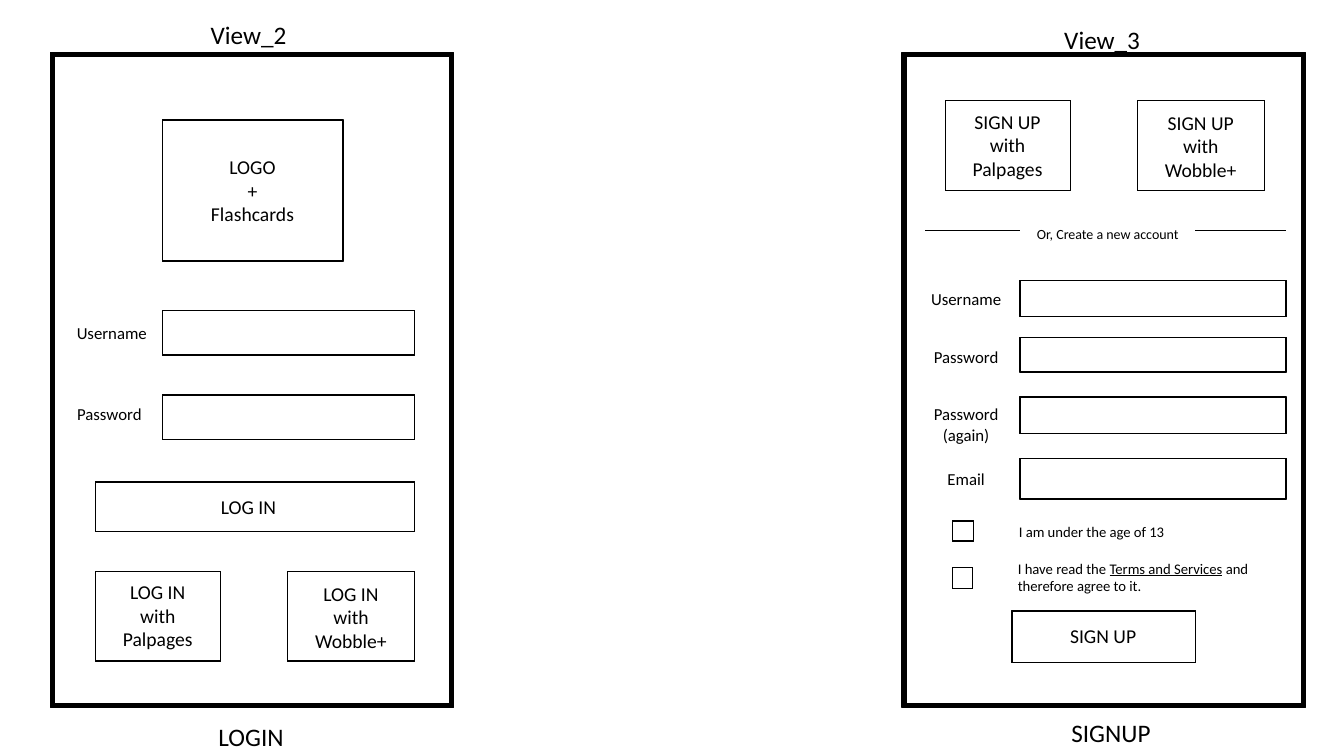
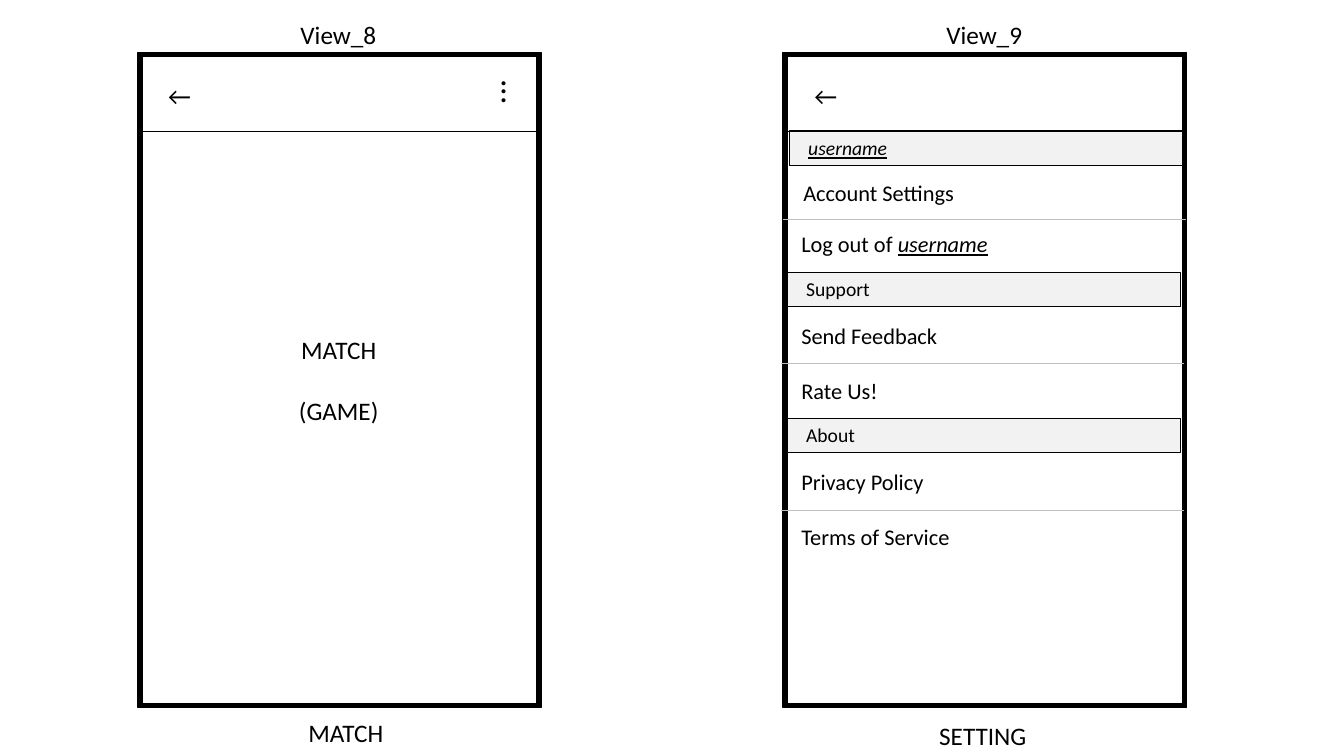
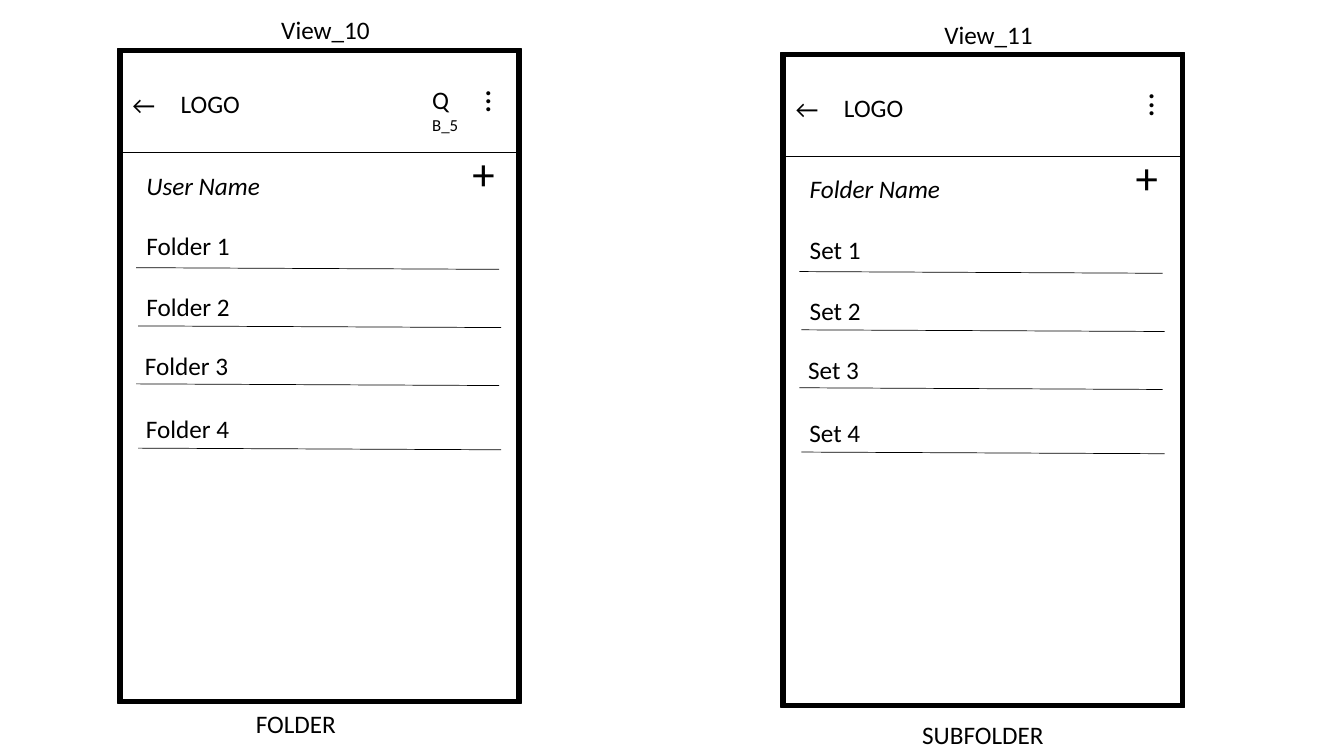
import pptx
import pptx.dml.color
import pptx.enum.shapes
import pptx.enum.text
import pptx.oxml
import pptx.util

Pt = pptx.util.Pt
RGBColor = pptx.dml.color.RGBColor
SHAPES = pptx.enum.shapes.MSO_SHAPE
ALIGN = pptx.enum.text.PP_ALIGN
ANCHOR = pptx.enum.text.MSO_ANCHOR
AUTO_SIZE = pptx.enum.text.MSO_AUTO_SIZE

BLACK = RGBColor(0, 0, 0)
BAND_GREY = RGBColor(0xF2, 0xF2, 0xF2)
RULE_GREY = RGBColor(0xBF, 0xBF, 0xBF)
FONT = "Calibri"
SCREEN_WIDTH, SCREEN_HEIGHT = 288, 468
LINE_HEIGHT = 28.8
EMPTY_EFFECTS = ('<a:effectLst xmlns:a='
                 '"http://schemas.openxmlformats.org/drawingml/2006/main"/>')


class Wireframe:
    """Holds the presentation, the shared style and the current slide."""

    def __init__(self):
        self.presentation = pptx.Presentation()
        self.presentation.slide_width = Pt(960)
        self.presentation.slide_height = Pt(540)
        self.slide = None

    def new_slide(self):
        """Start a slide that has only a title placeholder."""
        layout = self.presentation.slide_layouts[5]
        self.slide = self.presentation.slides.add_slide(layout)

    def style_run(self, run, size, italic=False, underline=False):
        """Give a run the shared font and colour."""
        run.font.name = FONT
        run.font.size = Pt(size)
        run.font.color.rgb = BLACK
        run.font.italic = italic
        run.font.underline = underline

    def fill_text(self, shape, text, size, centred=False, wrap=True,
                  italic=False, underline=False):
        """Write text into a shape and format its runs."""
        frame = shape.text_frame
        frame.text = text
        frame.word_wrap = wrap
        frame.auto_size = AUTO_SIZE.SHAPE_TO_FIT_TEXT
        frame.vertical_anchor = ANCHOR.TOP
        for paragraph in frame.paragraphs:
            paragraph.alignment = ALIGN.CENTER if centred else ALIGN.LEFT
            for run in paragraph.runs:
                self.style_run(run, size, italic, underline)
        return frame

    def text(self, left, top, width, height, text, size, **style):
        """Add a text box and return its text frame."""
        shape = self.slide.shapes.add_textbox(
            Pt(left), Pt(top), Pt(width), Pt(height))
        return self.fill_text(shape, text, size, **style)

    def label(self, left, top, width, text, italic=False):
        """Add a one-line label in the large size."""
        self.text(left, top, width, LINE_HEIGHT, text, 18, wrap=False,
                  italic=italic)

    def append(self, frame, text, size, **style):
        """Add a differently styled run to the first paragraph."""
        run = frame.paragraphs[0].add_run()
        run.text = text
        self.style_run(run, size, **style)

    def title(self, left, top, width, text):
        """Move the title placeholder over a screen and fill it."""
        shape = self.slide.shapes.title
        shape.left, shape.top = Pt(left), Pt(top)
        shape.width, shape.height = Pt(width), Pt(LINE_HEIGHT)
        self.fill_text(shape, text, 18, wrap=False)

    def box(self, left, top, width, height, thickness=0):
        """Add a black outline as a frame shape."""
        shape = self.slide.shapes.add_shape(
            SHAPES.FRAME, Pt(left), Pt(top), Pt(width), Pt(height))
        shape.adjustments[0] = thickness
        self.paint(shape, BLACK, 1)

    def paint(self, shape, fill, line_width):
        """Set fill and black line, and drop the shadow."""
        shape.shadow.inherit = False
        shape.fill.solid()
        shape.fill.fore_color.rgb = fill
        shape.line.color.rgb = BLACK
        shape.line.width = Pt(line_width)

    def screen(self, left, top):
        """Add the thick outline of a phone screen."""
        self.box(left, top, SCREEN_WIDTH, SCREEN_HEIGHT, 0.01)

    def rule(self, left, top, width, drop=0, colour=BLACK):
        """Add a thin line that may fall slightly to the right."""
        connector = self.slide.shapes.add_connector(
            pptx.enum.shapes.MSO_CONNECTOR.STRAIGHT,
            Pt(left), Pt(top), Pt(left + width), Pt(top + drop))
        connector.line.color.rgb = colour
        connector.line.width = Pt(0.5)
        properties = connector._element.spPr
        properties.append(pptx.oxml.parse_xml(EMPTY_EFFECTS))

    def back_arrow(self, left, top):
        """Add the arrow that leads back."""
        self.text(left, top, 36.7, LINE_HEIGHT, "\u2190", 18)

    def menu_dots(self, left, top):
        """Add three dots, turned upright."""
        frame = self.text(left, top, 38.9, 36, "...", 24)
        self.slide.shapes[-1].rotation = 90
        return frame

    def band(self, left, top, text, **style):
        """Add a grey section band of the settings menu."""
        shape = self.slide.shapes.add_shape(
            SHAPES.RECTANGLE, Pt(left), Pt(top), Pt(281), Pt(24.5))
        self.paint(shape, BAND_GREY, 0.75)
        self.fill_text(shape, text, 14, **style).margin_left = Pt(13.5)

    def menu_item(self, left, top, text):
        """Add an indented row of the settings menu."""
        frame = self.text(left, top, SCREEN_WIDTH, 32.4, text, 16)
        frame.margin_left = Pt(14.4)
        frame.margin_top = Pt(9.7)
        return frame

    def social_buttons(self, left, top, action):
        """Add the two buttons for outside accounts."""
        self.box(left, top, 89.3, 64.1)
        self.box(left + 137, top, 90.7, 64.1)
        self.text(left + 6.5, top + 2.6, 75.6, 58.3, action + "Palpages",
                  14, centred=True)
        self.text(left + 144.5, top + 3.6, 75.6, 58.3, action + "Wobble+",
                  14, centred=True)

    def folder_screen(self, left, top, owner, owner_width, item, item_width):
        """Add a screen that lists four numbered items."""
        self.screen(left, top)
        self.rule(left, top + 74.5, SCREEN_WIDTH)
        self.back_arrow(left + 3.2, top + 26)
        self.label(left + 37.8, top + 24.8, 57.6, "LOGO")
        self.menu_dots(left + 253.4, top + 23.4)
        self.text(left + 246.2, top + 66.2, 43.2, 46.1, "+", 32)
        self.label(left + 13.3, top + 83.2, owner_width, owner, italic=True)
        rows = [(13.3, 126.7, 13, 156.6), (13.3, 169.9, 14.4, 198.2),
                (12.2, 212, 13, 239.6), (13, 257, 14.4, 285.5)]
        for number, (text_x, text_y, rule_x, rule_y) in enumerate(rows, 1):
            self.label(left + text_x, top + text_y, item_width,
                       f"{item} {number}")
            self.rule(left + rule_x, top + rule_y, 259.4, drop=1.2)


def build_login(wireframe):
    """Draw the login screen."""
    wireframe.title(143.3, 10.1, 69.1, "View_2")
    wireframe.screen(36, 37.4)
    wireframe.label(149, 511.9, 61.9, "LOGIN")
    wireframe.box(116, 85.7, 128.9, 100.8)
    wireframe.text(128.9, 107.3, 103, 58.3, "LOGO\n+\nFlashcards", 14,
                   centred=True)
    for text, left, top, field_top in [("Username", 41, 226.8, 221.8),
                                       ("Password", 39.2, 285.1, 282.2)]:
        wireframe.text(left, top, 77.8, 21.6, text, 12, centred=True)
        wireframe.box(116, field_top, 180, 31.7)
    wireframe.box(68.4, 344.2, 227.5, 35.3)
    wireframe.text(139.7, 349.9, 75.6, 24.5, "LOG IN", 14, centred=True)
    wireframe.social_buttons(68.4, 408.2, "LOG IN\nwith ")


def build_signup(wireframe):
    """Draw the signup screen."""
    wireframe.label(753.1, 13.7, 69.1, "View_3")
    wireframe.screen(644.4, 37.4)
    wireframe.label(758.2, 509, 72, "SIGNUP")
    wireframe.social_buttons(675.4, 72, "SIGN UP with ")
    wireframe.rule(661, 164.9, 67.6)
    wireframe.rule(853.9, 164.9, 64.8)
    wireframe.text(728.6, 157.7, 125.3, 19.4, "Or, Create a new account", 10,
                   centred=True)
    for text, top, field_top, field_height in [
            ("Username", 203, 200.2, 25.9),
            ("Password", 244.1, 241.2, 24.5),
            ("Password (again)", 285.1, 283.7, 25.9),
            ("Email", 331.2, 327.6, 28.8)]:
        wireframe.text(651.2, top, 77.8, 21.6, text, 12, centred=True)
        wireframe.box(728.6, field_top, 190.1, field_height)
    wireframe.box(680.4, 372.2, 15.1, 14.4)
    wireframe.text(720.7, 370.1, 211, 20.2, "I am under the age of 13", 10.5)
    wireframe.box(680.4, 405.4, 14.4, 15.1)
    terms = wireframe.text(720, 396, 211, 33.8, "I have read the ", 10.5)
    wireframe.append(terms, "Terms and Services", 10.5, underline=True)
    wireframe.append(terms, " and therefore agree to it.", 10.5)
    wireframe.box(722.9, 436.3, 131, 36.7)
    wireframe.text(750.2, 442.1, 75.6, 24.5, "SIGN UP", 14, centred=True)


def build_match(wireframe):
    """Draw the match game screen."""
    wireframe.title(207.4, 10.1, 69.1, "View_8")
    wireframe.screen(98.6, 37.4)
    wireframe.label(213.1, 509, 70.6, "MATCH")
    wireframe.rule(98.6, 93.6, SCREEN_WIDTH)
    wireframe.back_arrow(113, 54)
    wireframe.menu_dots(348.5, 51.1)
    game = wireframe.text(171.4, 235.4, 141.1, 72.7, "MATCH\n(GAME)", 18,
                          centred=True)
    game.paragraphs[1].space_before = Pt(22)


def build_setting(wireframe):
    """Draw the settings screen."""
    wireframe.label(668.9, 10.1, 69.1, "View_9")
    wireframe.screen(559.4, 37.4)
    wireframe.label(663.8, 511.2, 77, "SETTING")
    wireframe.rule(559.4, 93.6, SCREEN_WIDTH)
    wireframe.back_arrow(574.6, 54)
    wireframe.band(563.8, 93.6, "username", italic=True, underline=True)
    wireframe.band(562.3, 194.4, "Support")
    wireframe.band(562.3, 298.8, "About")
    wireframe.menu_item(559.4, 118.1, "Account Settings")
    log_out = wireframe.menu_item(558, 154.8, "Log out of ")
    wireframe.append(log_out, "username", 16, italic=True, underline=True)
    for text, top in [("Send Feedback", 220.3), ("Rate Us!", 259.9),
                      ("Privacy Policy", 324.7), ("Terms of Service", 364.3)]:
        wireframe.menu_item(558, top, text)
    for left, top in [(559.4, 157), (558, 259.9), (558, 364.3)]:
        wireframe.rule(left, top, SCREEN_WIDTH, colour=RULE_GREY)


def build_folders(wireframe):
    """Draw the folder and subfolder screens."""
    wireframe.title(193.7, 6.5, 78.5, "View_10")
    wireframe.folder_screen(84.2, 34.6, "User Name", 96.5, "Folder", 74.9)
    search = wireframe.text(301.7, 56.9, 33.1, 43.9, "Q\nB_5", 18, wrap=False)
    search.paragraphs[1].runs[0].font.size = Pt(12)
    wireframe.label(175.7, 502.6, 72, "FOLDER")
    wireframe.label(667.4, 10.1, 78.5, "View_11")
    wireframe.folder_screen(558, 37.4, "Folder Name", 109.4, "Set", 51.1)
    wireframe.label(651.6, 510.5, 102.2, "SUBFOLDER")


def main():
    """Build the three slides and save them."""
    wireframe = Wireframe()
    for builders in [(build_login, build_signup),
                     (build_match, build_setting),
                     (build_folders,)]:
        wireframe.new_slide()
        for build in builders:
            build(wireframe)
    wireframe.presentation.save("out.pptx")


main()
